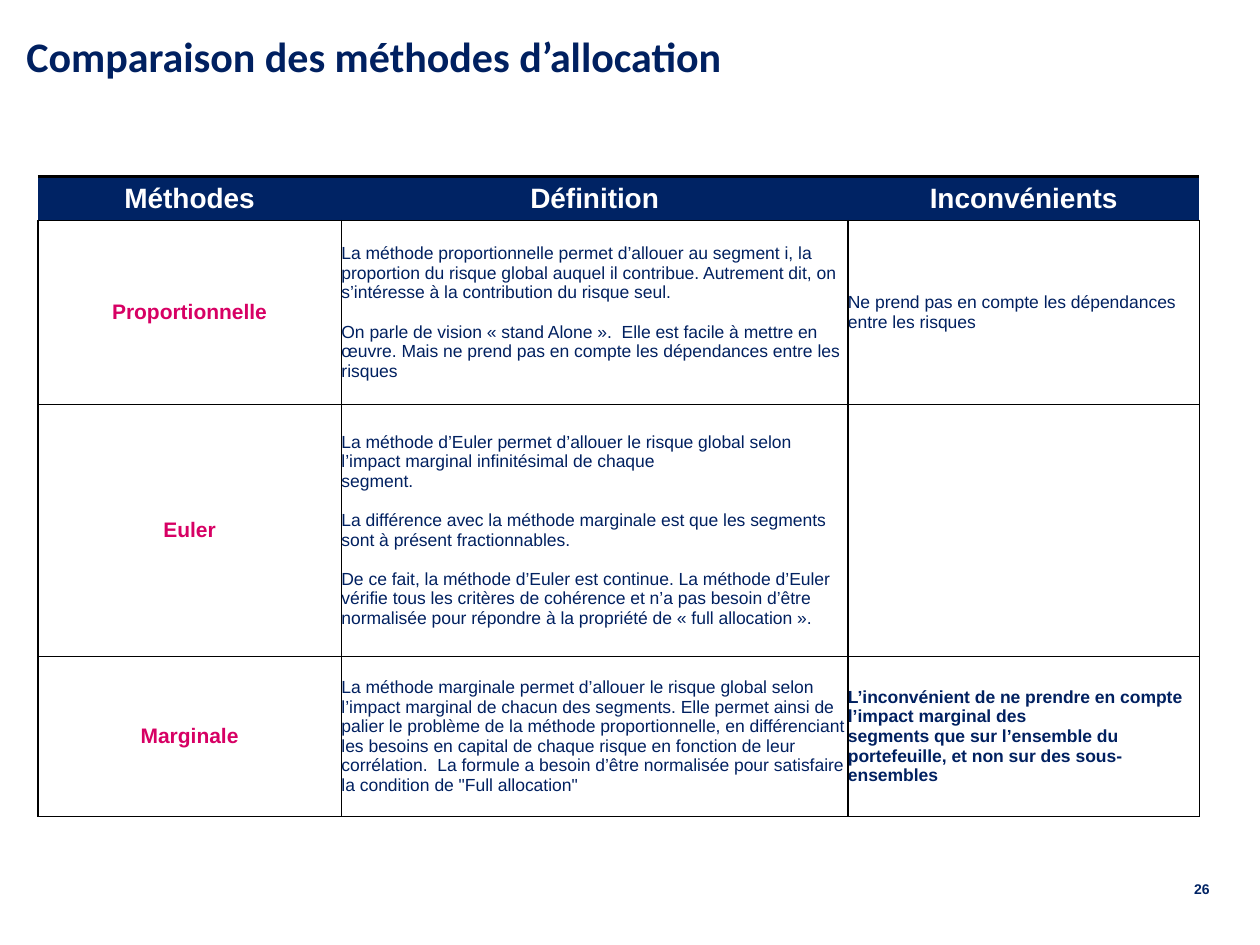
from lxml.etree import SubElement
from pptx import Presentation
from pptx.dml.color import RGBColor
from pptx.enum.text import MSO_ANCHOR, PP_ALIGN
from pptx.oxml.ns import qn
from pptx.util import Inches, Pt

COLORS = {
    "title": "002060",
    "header": "002364",
    "method": "D70064",
    "white": "FFFFFF",
    "border": "000000",
}
COLUMN_WIDTHS = [2.41, 4.02, 2.79]
ROW_HEIGHTS = [0.35, 1.46, 2, 1.27]
HEADERS = ["Méthodes", "Définition", "Inconvénients"]
METHODS = [
    (
        "Proportionnelle",
        [
            "La méthode proportionnelle permet d’allouer au segment i, la proportion du risque global "
            "auquel il contribue. Autrement dit, on s’intéresse à la contribution du risque seul.",
            "On parle de vision « stand Alone ».  Elle est facile à mettre en œuvre. "
            "Mais ne prend pas en compte les dépendances entre les risques",
        ],
        "Ne prend pas en compte les dépendances entre les risques",
        False,
    ),
    (
        "Euler",
        [
            "La méthode d’Euler permet d’allouer le risque global selon l’impact marginal "
            "infinitésimal de chaque\nsegment.",
            "La différence avec la méthode marginale est que les segments sont à présent fractionnables.",
            "De ce fait, la méthode d’Euler est continue. La méthode d’Euler vérifie tous les critères "
            "de cohérence et n’a pas besoin d’être normalisée pour répondre à la propriété de "
            "« full allocation ».",
        ],
        "",
        False,
    ),
    (
        "Marginale",
        [
            "La méthode marginale permet d’allouer le risque global selon l’impact marginal de chacun "
            "des segments. Elle permet ainsi de palier le problème de la méthode proportionnelle, en "
            "différenciant les besoins en capital de chaque risque en fonction de leur corrélation.  "
            "La formule a besoin d’être normalisée pour satisfaire la condition de \"Full allocation\"",
        ],
        "L’inconvénient de ne prendre en compte l’impact marginal des\nsegments que sur l’ensemble "
        "du portefeuille, et non sur des sous-ensembles",
        True,
    ),
]


def rgb(name):
    return RGBColor.from_string(COLORS[name])


def write(tf, paragraphs, size, color, bold=True, align=PP_ALIGN.LEFT, font="Arial"):
    tf.word_wrap = True
    for i, text in enumerate(paragraphs):
        p = tf.add_paragraph() if i else tf.paragraphs[0]
        p.text = text
        p.alignment = align
        p.space_before = Pt(11.2 if i else 0)
        p.font.name = font
        p.font.size = Pt(size)
        p.font.bold = bold
        p.font.color.rgb = rgb(color)


def add_text(slide, box, text, anchor, **style):
    sp = slide.shapes.add_textbox(*map(Inches, box))
    tf = sp.text_frame
    tf.margin_left = tf.margin_right = tf.margin_top = tf.margin_bottom = 0
    tf.vertical_anchor = anchor
    write(tf, [text], **style)
    return sp


def set_borders(cell, **widths):
    tcPr = cell._tc.get_or_add_tcPr()
    for side in "LRTB":
        width = widths.get(side, 0)
        ln = SubElement(tcPr, qn(f"a:ln{side}"), w=str(Pt(width)))
        if width:
            fill = SubElement(ln, qn("a:solidFill"))
            SubElement(fill, qn("a:srgbClr"), val=COLORS["border"])
        else:
            SubElement(ln, qn("a:noFill"))


def fill_cell(cell, paragraphs, fill, borders, **style):
    cell.margin_left = cell.margin_right = cell.margin_top = cell.margin_bottom = 0
    cell.vertical_anchor = MSO_ANCHOR.MIDDLE
    set_borders(cell, **borders)
    cell.fill.solid()
    cell.fill.fore_color.rgb = rgb(fill)
    write(cell.text_frame, paragraphs, **style)


def add_methods_table(slide):
    frame = slide.shapes.add_table(
        len(ROW_HEIGHTS), len(COLUMN_WIDTHS), Inches(0.3), Inches(1.4),
        Inches(sum(COLUMN_WIDTHS)), Inches(sum(ROW_HEIGHTS)),
    )
    table = frame.table
    table.first_row = table.horz_banding = False
    for column, width in zip(table.columns, COLUMN_WIDTHS):
        column.width = Inches(width)
    for row, height in zip(table.rows, ROW_HEIGHTS):
        row.height = Inches(height)

    for c, header in enumerate(HEADERS):
        fill_cell(table.cell(0, c), [header], "header", {"T": 2, "B": 1},
                  size=16, color="white", align=PP_ALIGN.CENTER)

    grid = dict.fromkeys("LRTB", 1)
    for r, (method, definition, drawback, bold) in enumerate(METHODS, 1):
        fill_cell(table.cell(r, 0), [method], "white", grid,
                  size=12, color="method", align=PP_ALIGN.CENTER)
        fill_cell(table.cell(r, 1), definition, "white", grid,
                  size=10, color="title", bold=False)
        fill_cell(table.cell(r, 2), [drawback], "white", grid,
                  size=10, color="title", bold=bold)


def main():
    prs = Presentation()
    prs.slide_width, prs.slide_height = Inches(10), Inches(7.5)
    s = prs.slides.add_slide(prs.slide_layouts[6])
    title = add_text(s, (0.21, 0.24, 9.66, 6.37), "Comparaison des méthodes d’allocation",
                     MSO_ANCHOR.TOP, size=24, color="title", font="Calibri")
    title.fill.solid()
    title.fill.fore_color.rgb = rgb("white")
    add_text(s, (9.25, 6.77, 0.35, 0.35), "26", MSO_ANCHOR.BOTTOM,
             size=8, color="header", align=PP_ALIGN.RIGHT)
    add_methods_table(s)
    prs.save("out.pptx")


if __name__ == "__main__":
    main()
